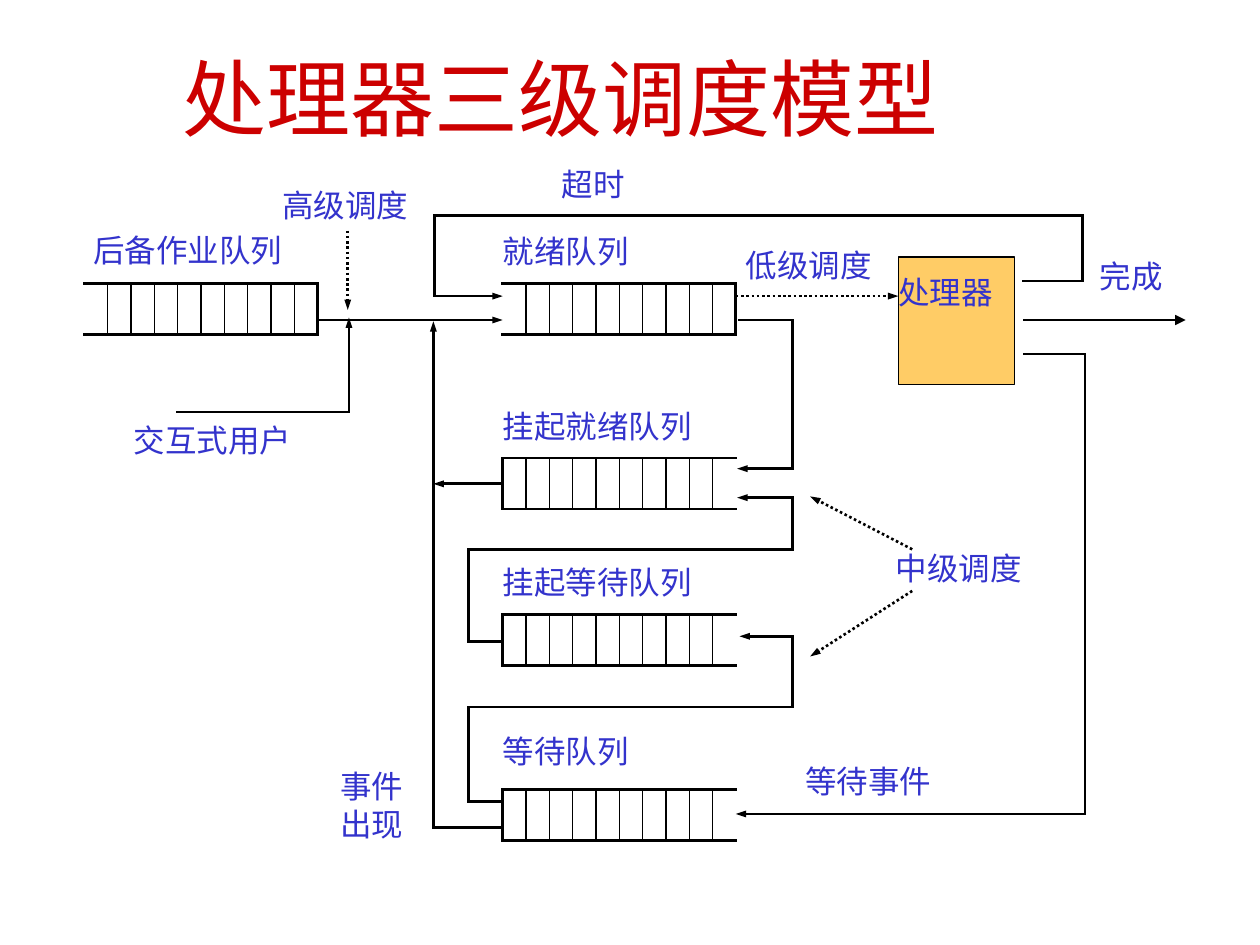
from itertools import pairwise

from lxml import etree
from pptx import Presentation
from pptx import util as u
from pptx.dml.color import RGBColor
from pptx.enum import dml, shapes, text
from pptx.oxml.ns import qn

COLORS = {"title": "CC0000", "label": "3333CC", "line": "000000", "processor": "FFCC66"}
COLUMNS, ROWS = 100, 75
QUEUE_WIDTH, QUEUE_HEIGHT, QUEUE_CELLS = 18.5, 4.05, 10
QUEUE_LEFT = 39.9
QUEUE_RIGHT = QUEUE_LEFT + QUEUE_WIDTH
JOBS_LEFT = 6.7
READY_TOP, SUSPENDED_READY_TOP, SUSPENDED_WAIT_TOP, WAIT_TOP = 22.5, 36.35, 48.75, 62.65
FLOW_ROW, RETURN_ROW = 25.4, 23.5
EVENT_COLUMN, INNER_COLUMN, SWAP_COLUMN, PROCESSOR_COLUMN = 34.4, 37.2, 62.9, 86.1


class Diagram:
    """Draws on one slide, with places given in columns and rows of its grid."""

    font = "Noto Sans CJK JP"

    def __init__(self, deck):
        self.slide = deck.slides.add_slide(deck.slide_layouts[6])
        self.column = deck.slide_width / COLUMNS
        self.row = deck.slide_height / ROWS

    def place(self, *lengths):
        """Turn alternating columns and rows into slide units."""
        units = (self.column, self.row)
        return [u.Emu(round(length * units[i % 2])) for i, length in enumerate(lengths)]

    def color(self, name):
        return RGBColor.from_string(COLORS[name])

    def set_text(self, shape, words, size=18, color="label", font=font,
                 align=text.PP_ALIGN.LEFT, anchor=text.MSO_ANCHOR.TOP, margins=(0, 0, 0, 0)):
        frame = shape.text_frame
        frame.word_wrap = True
        frame.vertical_anchor = anchor
        (frame.margin_left, frame.margin_top,
         frame.margin_right, frame.margin_bottom) = [u.Inches(m) for m in margins]
        frame.text = words
        for para in frame.paragraphs:
            para.alignment = align
            for span in para.runs:
                span.font.size = u.Pt(size)
                span.font.name = font
                span.font.color.rgb = self.color(color)
                east_asian = etree.SubElement(span.font._element, qn("a:ea"))
                east_asian.set("typeface", self.font)

    def label(self, words, left, top, width, height=4.1, **style):
        box = self.slide.shapes.add_textbox(*self.place(left, top, width, height))
        self.set_text(box, words, **style)

    def processor(self, words, left, top, width, height):
        box = self.slide.shapes.add_shape(
            shapes.MSO_SHAPE.RECTANGLE, *self.place(left, top, width, height))
        box.shadow.inherit = False
        box.fill.solid()
        box.fill.fore_color.rgb = self.color("processor")
        box.line.color.rgb = self.color("line")
        box.line.width = u.Pt(0.75)
        self.set_text(box, words, margins=(0, 0.13, 0, 0.05))

    def line(self, start, end, weight=1.5, dotted=False, arrow=None):
        """Draw one straight line; arrow is the width of its head ("sm" or "med")."""
        link = self.slide.shapes.add_connector(
            shapes.MSO_CONNECTOR.STRAIGHT, *self.place(*start, *end))
        link.line.color.rgb = self.color("line")
        link.line.width = u.Pt(weight)
        if dotted:
            link.line.dash_style = dml.MSO_LINE.ROUND_DOT
        outline = link._element.spPr.find(qn("a:ln"))
        if arrow:
            etree.SubElement(outline, qn("a:tailEnd"), type="triangle", w=arrow, len="med")
        elif weight > 1:
            outline.set("cap", "sq")
        etree.SubElement(link._element.spPr, qn("a:effectLst"))

    def route(self, *points, arrow="sm"):
        """Join the points with lines, the last one carrying the arrowhead."""
        legs = list(pairwise(points))
        for start, end in legs[:-1]:
            self.line(start, end)
        self.line(*legs[-1], arrow=arrow)

    def queue(self, left, top, closed_right=False):
        """Draw a row of cells that is closed at one end only."""
        right, bottom = left + QUEUE_WIDTH, top + QUEUE_HEIGHT
        closed = right if closed_right else left
        for edge in (top, bottom):
            self.line((left, edge), (right, edge))
        self.line((closed, top), (closed, bottom))
        for cell in range(1, QUEUE_CELLS):
            divider = left + cell * QUEUE_WIDTH / QUEUE_CELLS
            self.line((divider, top), (divider, bottom), weight=0.75)


def main():
    deck = Presentation()
    deck.slide_width, deck.slide_height = u.Inches(10), u.Inches(7.5)
    diagram = Diagram(deck)

    diagram.label("处理器三级调度模型", 2, 1.4, 85, 12.5, size=48, color="title",
                  font="Times New Roman", align=text.PP_ALIGN.CENTER,
                  anchor=text.MSO_ANCHOR.MIDDLE, margins=(0.1, 0.05, 0.1, 0.05))

    diagram.queue(JOBS_LEFT, READY_TOP, closed_right=True)
    diagram.queue(QUEUE_LEFT, READY_TOP, closed_right=True)
    for top in (SUSPENDED_READY_TOP, SUSPENDED_WAIT_TOP, WAIT_TOP):
        diagram.queue(QUEUE_LEFT, top)
    diagram.processor("处理器", 71.3, 20.4, 9.2, 10.1)

    for words, left, top, width in (
        ("后备作业队列", 7.4, 18.3, 17.6),
        ("高级调度", 22.4, 14.8, 10.7),
        ("超时", 44.6, 13.1, 31),
        ("就绪队列", QUEUE_LEFT, 18.4, QUEUE_WIDTH),
        ("低级调度", 59.2, 19.5, 11.3),
        ("完成", 87.3, 20.4, 6.8),
        ("交互式用户", 10.6, 33.4, 12.9),
        ("挂起就绪队列", QUEUE_LEFT, 32.3, QUEUE_WIDTH),
        ("挂起等待队列", QUEUE_LEFT, 44.7, QUEUE_WIDTH),
        ("中级调度", 71.1, 43.6, 10.8),
        ("等待队列", QUEUE_LEFT, 58.1, QUEUE_WIDTH),
        ("等待事件", 63.9, 60.5, 16.6),
    ):
        diagram.label(words, left, top, width)
    diagram.label("事件\n出现", 27, 60.9, 7.4, 8.1)

    # Jobs and interactive users enter the ready queue
    diagram.route((25.1, FLOW_ROW), (QUEUE_LEFT, FLOW_ROW))
    diagram.route((14.1, 32.7), (27.7, 32.7), (27.7, 25.2))
    # Ways out of the processor: finished, timed out, waiting for an event
    diagram.route((81.2, FLOW_ROW), (94.1, FLOW_ROW), arrow="med")
    diagram.route((81.2, 22.3), (85.9, 22.3), (85.9, 17.1), (34.5, 17.1),
                  (34.5, RETURN_ROW), (QUEUE_LEFT, RETURN_ROW))
    diagram.route((81.3, 28.1), (PROCESSOR_COLUMN, 28.1),
                  (PROCESSOR_COLUMN, 64.6), (QUEUE_RIGHT, 64.6))
    # Swapping between the queues
    diagram.route((58.7, FLOW_ROW), (SWAP_COLUMN, FLOW_ROW),
                  (SWAP_COLUMN, 37.2), (58.5, 37.2))
    diagram.route((QUEUE_LEFT, 50.9), (INNER_COLUMN, 50.9), (INNER_COLUMN, 43.6),
                  (SWAP_COLUMN, 43.6), (SWAP_COLUMN, 39.5), (58.5, 39.5))
    diagram.route((QUEUE_LEFT, 63.6), (INNER_COLUMN, 63.6), (INNER_COLUMN, 56.1),
                  (SWAP_COLUMN, 56.1), (SWAP_COLUMN, 50.5), (58.7, 50.5))
    # Back to the ready queue
    diagram.route((QUEUE_LEFT, 65.7), (EVENT_COLUMN, 65.7), (EVENT_COLUMN, 25.5))
    diagram.route((QUEUE_LEFT, 38.4), (EVENT_COLUMN, 38.4))
    # Points where each scheduling level acts
    for start, end in (
        ((27.6, 18.3), (27.6, 24.6)),
        ((QUEUE_RIGHT, RETURN_ROW), (71.3, RETURN_ROW)),
        ((72.4, 43.6), (64.3, 39.4)),
        ((72.4, 46.9), (64.3, 52.1)),
    ):
        diagram.line(start, end, dotted=True, arrow="sm")

    deck.save("out.pptx")


if __name__ == "__main__":
    main()
